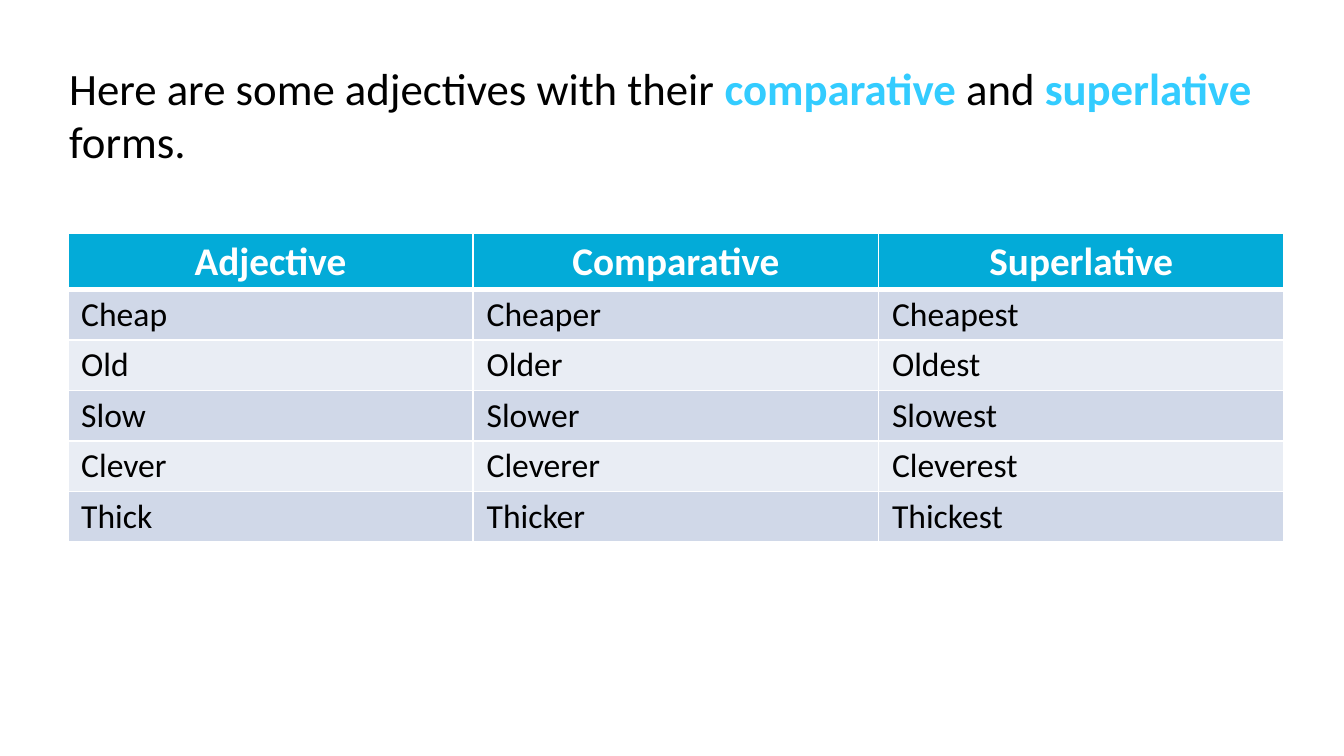
from typing import NamedTuple

from lxml.etree import SubElement
from pptx import Presentation
from pptx.dml.color import RGBColor
from pptx.enum.text import MSO_AUTO_SIZE, PP_ALIGN
from pptx.oxml.ns import qn
from pptx.util import Pt

FONT = "Calibri"
BLACK, WHITE = "000000", "FFFFFF"
HIGHLIGHT = "33CCFF"


class Span(NamedTuple):
    text: str
    color: str = BLACK
    bold: bool = False


class RowStyle(NamedTuple):
    fill: str
    color: str
    size: float
    bold: bool
    align: PP_ALIGN
    height: float
    bottom_border: float


HEADER = RowStyle("03ABD8", WHITE, 21, True, PP_ALIGN.CENTER, 30.5, 3)
DARK_BAND = RowStyle("D0D8E8", BLACK, 18, False, PP_ALIGN.LEFT, 27, 1)
LIGHT_BAND = DARK_BAND._replace(fill="E9EDF4")

INTRO = [
    Span("Here are some adjectives with their "),
    Span("comparative", HIGHLIGHT, True),
    Span(" and "),
    Span("superlative", HIGHLIGHT, True),
    Span(" forms."),
]
FORMS = [
    ("Adjective", "Comparative", "Superlative"),
    ("Cheap", "Cheaper", "Cheapest"),
    ("Old", "Older", "Oldest"),
    ("Slow", "Slower", "Slowest"),
    ("Clever", "Cleverer", "Cleverest"),
    ("Thick", "Thicker", "Thickest"),
]


def paint(target, color: str) -> None:
    if hasattr(target, "solid"):
        target.solid()
        target.fore_color.rgb = RGBColor.from_string(color)
    else:
        target.color.rgb = RGBColor.from_string(color)


def add_intro(page, spans: list[Span]) -> None:
    box = page.shapes.add_textbox(Pt(30), Pt(28.8), Pt(672), Pt(65.5))
    frame = box.text_frame
    frame.word_wrap = True
    frame.auto_size = MSO_AUTO_SIZE.SHAPE_TO_FIT_TEXT
    para = frame.paragraphs[0]
    para.font.name = FONT
    para.font.size = Pt(24)
    for span in spans:
        run = para.add_run()
        run.text = span.text
        run.font.bold = span.bold
        paint(run.font, span.color)


def add_borders(cell, top: float, bottom: float) -> None:
    properties = cell._tc.get_or_add_tcPr()
    widths = {"a:lnL": 1, "a:lnR": 1, "a:lnT": top, "a:lnB": bottom}
    for position, (tag, width) in enumerate(widths.items()):
        line = SubElement(properties, qn(tag), w=str(Pt(width)))
        fill = SubElement(line, qn("a:solidFill"))
        SubElement(fill, qn("a:srgbClr"), val=WHITE)
        properties.insert(position, line)


def fill_cell(cell, text: str, style: RowStyle, top_border: float) -> None:
    cell.margin_left = cell.margin_right = Pt(7.2)
    cell.margin_top = cell.margin_bottom = Pt(2.5)
    cell.text = text
    para = cell.text_frame.paragraphs[0]
    para.alignment = style.align
    para.font.name = FONT
    para.font.size = Pt(style.size)
    para.font.bold = style.bold
    paint(para.font, style.color)
    paint(cell.fill, style.fill)
    add_borders(cell, top_border, style.bottom_border)


def add_forms_table(page, forms: list[tuple[str, ...]]) -> None:
    styles = [HEADER] + [
        LIGHT_BAND if index % 2 else DARK_BAND for index in range(len(forms) - 1)
    ]
    height = sum(style.height for style in styles)
    table = page.shapes.add_table(
        len(forms), len(forms[0]), Pt(36.3), Pt(124.8), Pt(651.6), Pt(height)
    ).table
    top_border = 1
    for row, words, style in zip(table.rows, forms, styles):
        row.height = Pt(style.height)
        for cell, word in zip(row.cells, words):
            fill_cell(cell, word, style, top_border)
        top_border = style.bottom_border


def main() -> None:
    """Build the slide on comparative and superlative adjectives."""
    deck = Presentation()
    deck.slide_width, deck.slide_height = Pt(720), Pt(405)
    page = deck.slides.add_slide(deck.slide_layouts[6])
    add_intro(page, INTRO)
    add_forms_table(page, FORMS)
    deck.save("out.pptx")


if __name__ == "__main__":
    main()
